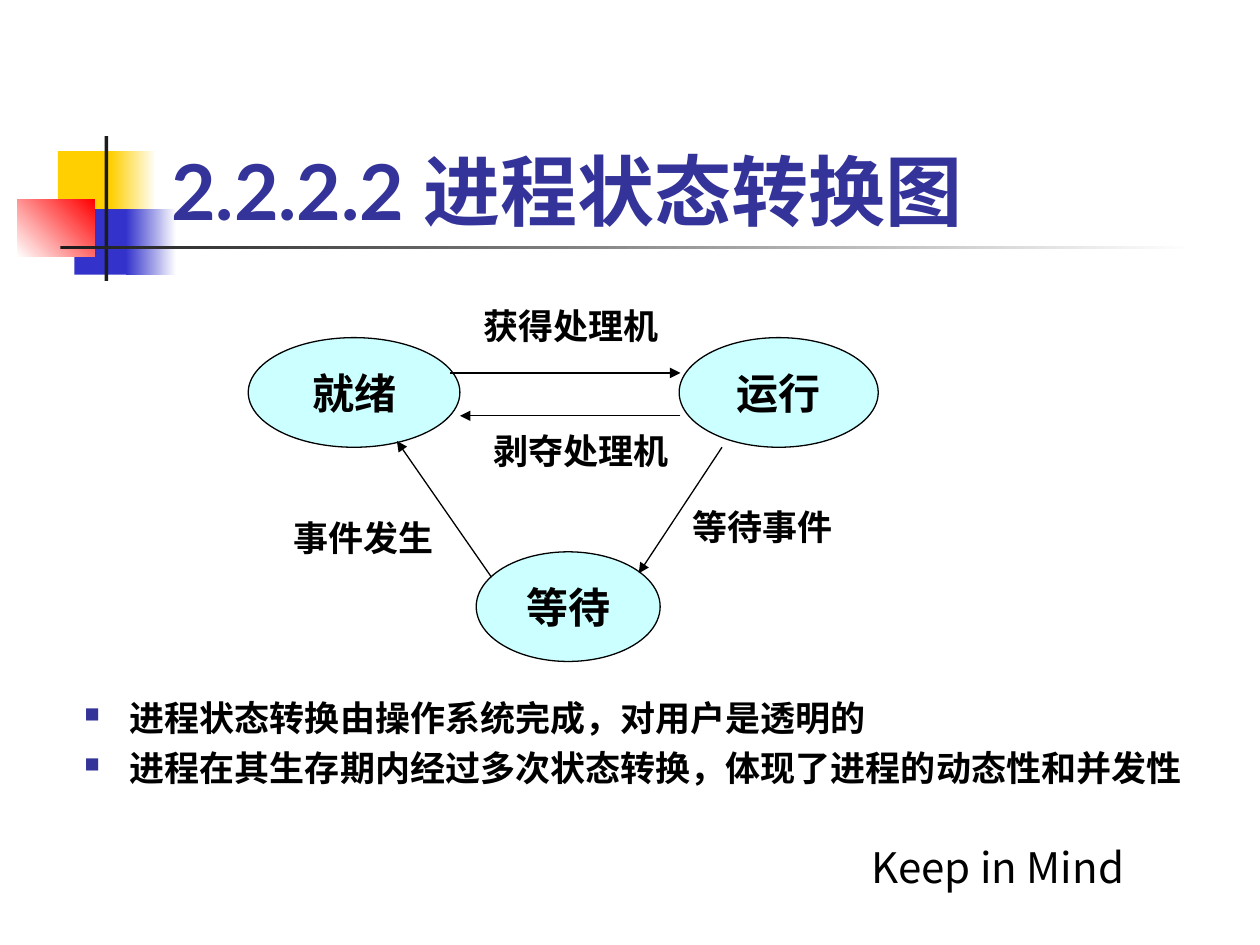
from lxml import etree
from pptx import Presentation
from pptx.dml.color import RGBColor
from pptx.enum.shapes import MSO_CONNECTOR as CONN, MSO_SHAPE as SHAPE
from pptx.enum.text import MSO_ANCHOR as ANCHOR, PP_ALIGN as ALIGN
from pptx.oxml.ns import qn
from pptx.util import Pt

PX = 9144  # 100 px to the inch
SERIF, SANS = "Times New Roman", "Noto Sans CJK SC"
BLACK, NAVY = "000000", "333399"


def rgb(value):
    return RGBColor.from_string(value)


def add_text(box, lines, font, size, color=BLACK, bold=True, align=ALIGN.LEFT):
    """Fill the box's text frame, one paragraph per line."""
    tf = box.text_frame
    tf.word_wrap = True
    tf.text = "\n".join(lines)
    for p in tf.paragraphs:
        p.alignment = align
        p.font.name, p.font.size, p.font.bold = font, Pt(size), bold
        p.font.color.rgb = rgb(color)
    return tf


prs = Presentation()
prs.slide_width, prs.slide_height = 1000 * PX, 750 * PX
s = prs.slides.add_slide(prs.slide_layouts[6])

# Corner decoration: x, y, w, h, start colour, end colour, angle
decoration = [
    (46, 120, 48, 52, "FFCF01", None, 0),
    (88, 120, 36, 52, "FFCF01", "FFFFFF", 0),
    (59, 166, 46, 52, "3333CC", None, 0),
    (100, 166, 40, 52, "3333CC", "FFFFFF", 0),
    (14, 158, 61, 46, "FFFFFF", "FF0000", 45),
    (83, 108, 3, 115, "1C1C1C", None, 0),
    (48, 195, 900, 3, "1C1C1C", "FFFFFF", 0),
]
for x, y, w, h, start, end, angle in decoration:
    sp = s.shapes.add_shape(SHAPE.RECTANGLE, x * PX, y * PX, w * PX, h * PX)
    sp.shadow.inherit = False
    sp.line.fill.background()
    if end:
        sp.fill.gradient()
        sp.fill.gradient_angle = angle
        for stop, color in zip(sp.fill.gradient_stops, (start, end)):
            stop.color.rgb = rgb(color)
    else:
        sp.fill.solid()
        sp.fill.fore_color.rgb = rgb(start)

# Process states
for name, x, y, w in [("就绪", 197, 268, 168), ("等待", 378, 438, 146), ("运行", 539, 268, 158)]:
    sp = s.shapes.add_shape(SHAPE.OVAL, x * PX, y * PX, w * PX, 87 * PX)
    sp.shadow.inherit = False
    sp.fill.solid()
    sp.fill.fore_color.rgb = rgb("CCFFFF")
    sp.line.color.rgb = rgb(BLACK)
    sp.line.width = Pt(0.75)
    tf = add_text(sp, [name], SERIF, 24, align=ALIGN.CENTER)
    tf.vertical_anchor = ANCHOR.MIDDLE

# Transitions: arrow ends, then label and its place
transitions = [
    (357, 296, 540, 296, "获得处理机", 374, 237, 167),
    (540, 330, 365, 330, "剥夺处理机", 382, 336, 167),
    (573, 355, 507, 455, "等待事件", 540, 396, 133),
    (390, 458, 315, 350, "事件发生", 223, 405, 133),
]
for x1, y1, x2, y2, label, x, y, w in transitions:
    arrow = s.shapes.add_connector(CONN.STRAIGHT, x1 * PX, y1 * PX, x2 * PX, y2 * PX)
    arrow.line.color.rgb = rgb(BLACK)
    arrow.line.width = Pt(0.75)
    etree.SubElement(arrow.line._get_or_add_ln(), qn("a:tailEnd"), type="triangle")
    etree.SubElement(arrow._element.spPr, qn("a:effectLst"))
    box = s.shapes.add_textbox(x * PX, y * PX, w * PX, 44 * PX)
    add_text(box, [label], SERIF, 20)

title = s.shapes.add_textbox(126 * PX, 67 * PX, 852 * PX, 125 * PX)
tf = add_text(title, ["2.2.2.2 进程状态转换图"], "Lato", 44, NAVY)
tf.vertical_anchor = ANCHOR.BOTTOM

reminder = s.shapes.add_textbox(642 * PX, 663 * PX, 300 * PX, 67 * PX)
add_text(reminder, ["Keep in Mind"], SANS, 24, bold=False, align=ALIGN.CENTER)

notes = s.shapes.add_textbox(67 * PX, 546 * PX, 910 * PX, 80 * PX)
tf = add_text(notes, [
    "进程状态转换由操作系统完成，对用户是透明的",
    "进程在其生存期内经过多次状态转换，体现了进程的动态性和并发性",
], SANS, 20)
tf.margin_left = tf.margin_top = tf.margin_right = tf.margin_bottom = 0
for p in tf.paragraphs:
    p.line_spacing = 1.2
    pPr = p._p.get_or_add_pPr()
    pPr.set("marL", str(36 * PX))
    pPr.set("indent", str(-36 * PX))
    bullet_color = etree.Element(qn("a:buClr"))
    etree.SubElement(bullet_color, qn("a:srgbClr"), val=NAVY)
    bullet_size = etree.Element(qn("a:buSzPct"), val="60000")
    bullet = etree.Element(qn("a:buChar"), char="■")
    for element in (bullet_color, bullet_size, bullet):
        pPr.find(qn("a:defRPr")).addprevious(element)

prs.save("out.pptx")
